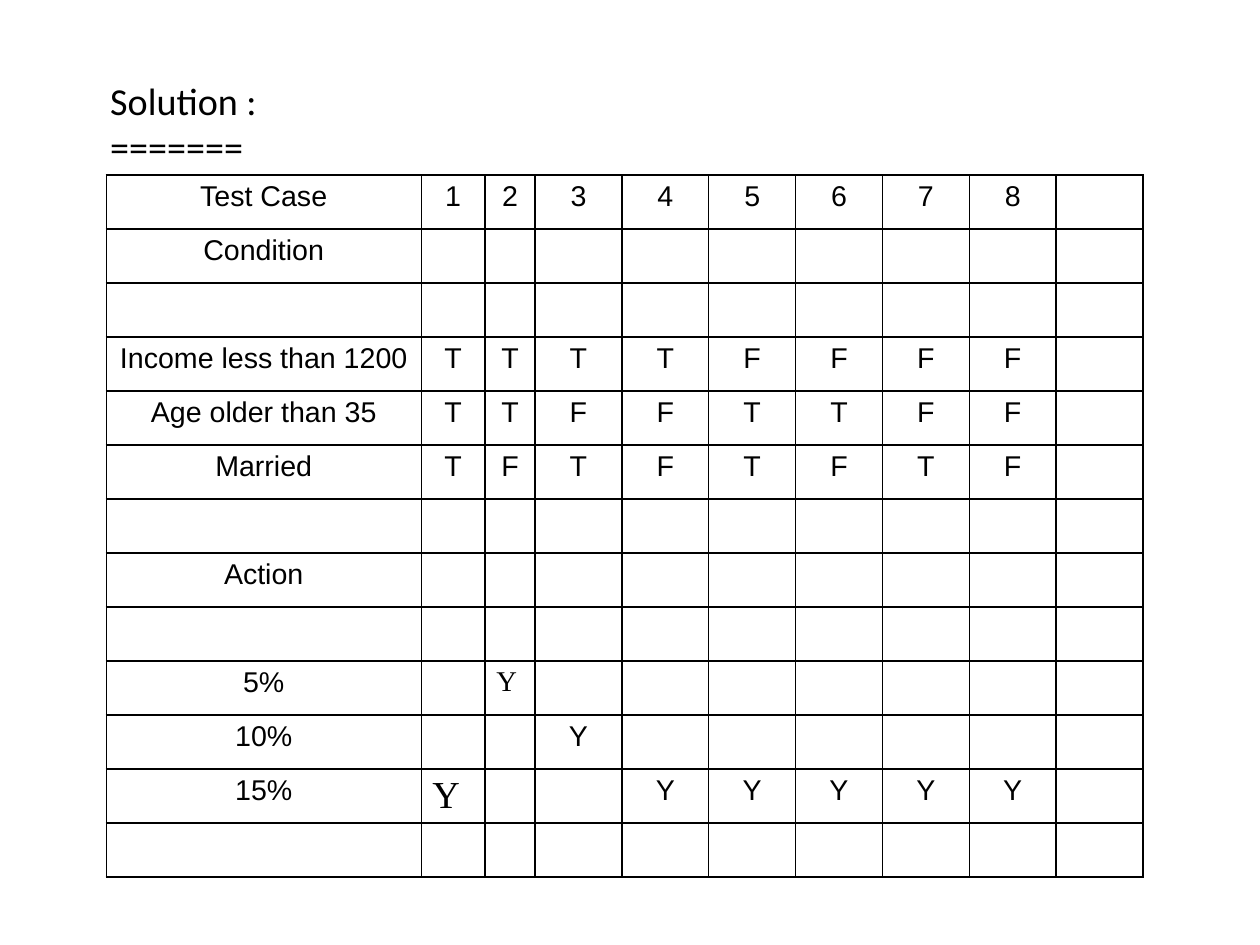
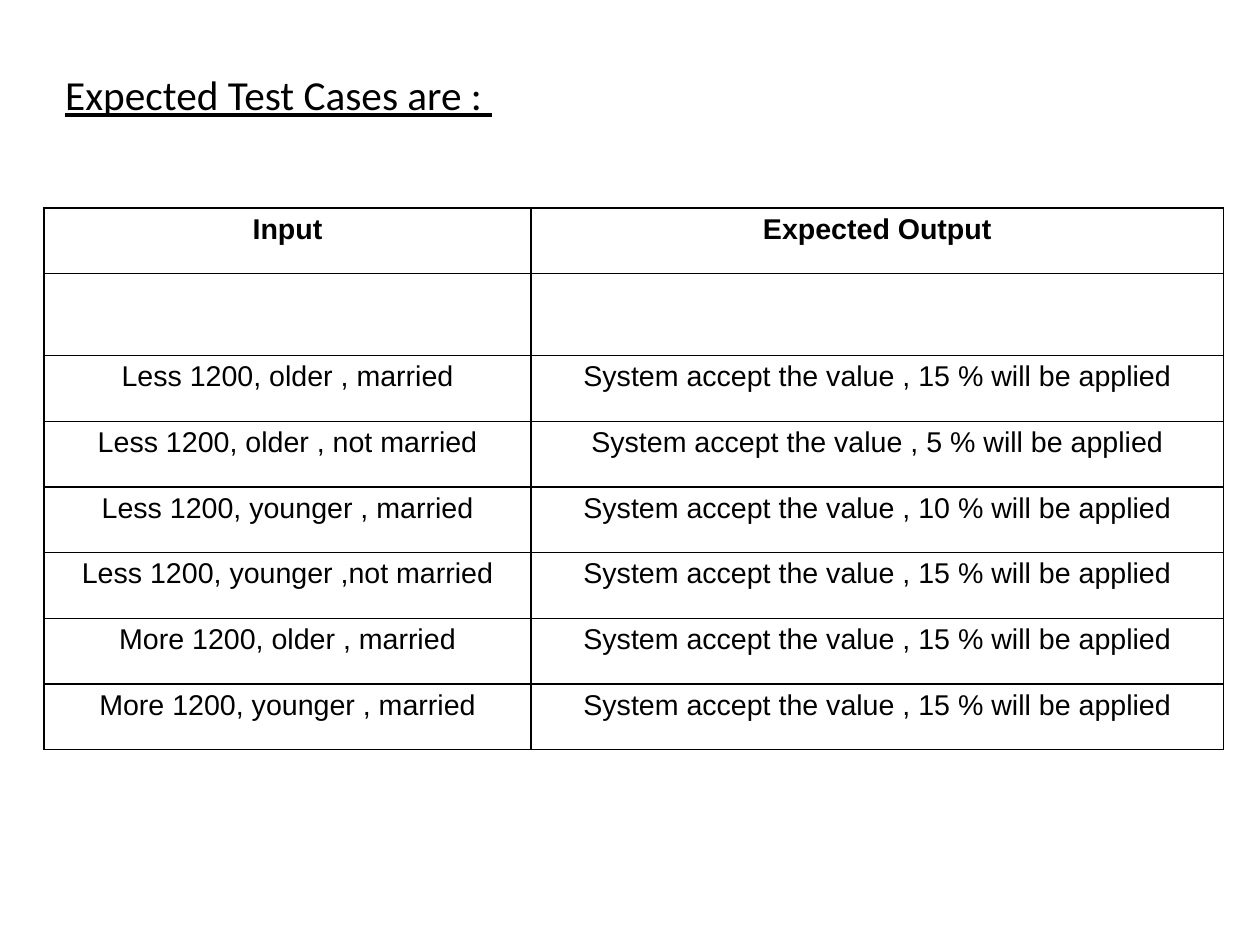
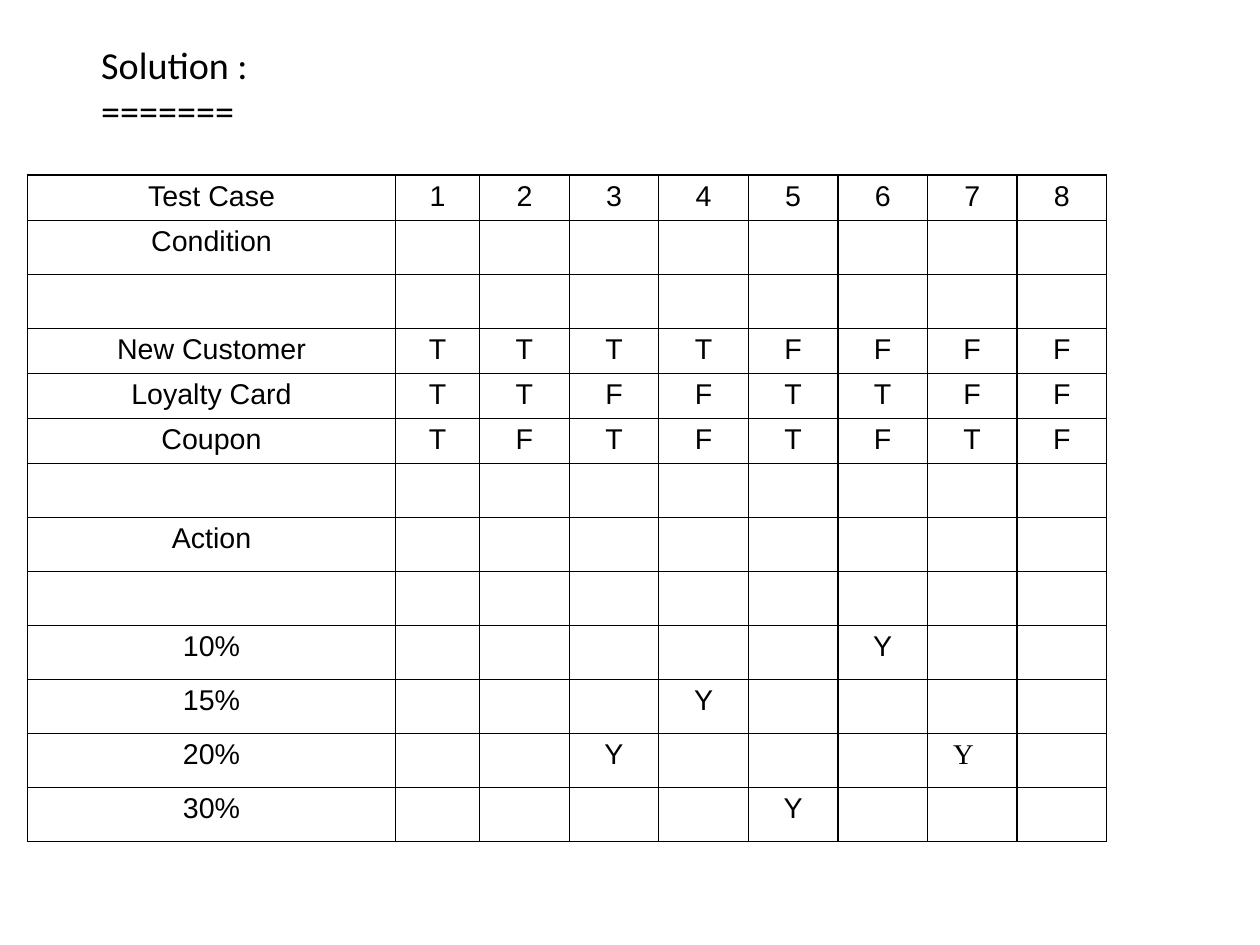
from lxml.etree import SubElement
from pptx import Presentation
from pptx.dml.color import RGBColor
from pptx.enum.text import PP_ALIGN
from pptx.oxml.ns import qn
from pptx.util import Cm, Pt

BLACK = RGBColor(0x00, 0x00, 0x00)
TITLE_FONT = "Calibri"
TABLE_FONT = "Arial"
MARK_FONT = "Times New Roman"
TALL_ROW = 1.2
SHORT_ROW = 0.97


class DeckBuilder:
    def __init__(self):
        self.deck = Presentation()
        self.deck.slide_width = Cm(28)
        self.deck.slide_height = Cm(21)
        self.slide = None

    def new_slide(self):
        self.slide = self.deck.slides.add_slide(self.deck.slide_layouts[6])

    def style(self, para, font, size, bold=False, underline=False):
        for span in para.runs:
            span.font.name = font
            span.font.size = Pt(size)
            span.font.bold = bold
            span.font.underline = underline
            span.font.color.rgb = BLACK

    def title(self, lines, left, top, width, height, size=24, underline=False):
        box = self.slide.shapes.add_textbox(Cm(left), Cm(top), Cm(width), Cm(height))
        box.text_frame.word_wrap = True
        box.text_frame.text = "\n".join(lines)
        for para in box.text_frame.paragraphs:
            self.style(para, TITLE_FONT, size, underline=underline)

    def borders(self, cell):
        properties = cell._tc.get_or_add_tcPr()
        for side in ("a:lnL", "a:lnR", "a:lnT", "a:lnB"):
            line = SubElement(properties, qn(side), w=str(Pt(1)))
            fill = SubElement(line, qn("a:solidFill"))
            SubElement(fill, qn("a:srgbClr"), val=str(BLACK))

    def table(self, rows, left, top, widths, heights, bold_header=False):
        frame = self.slide.shapes.add_table(
            len(rows), len(widths), Cm(left), Cm(top), Cm(sum(widths)), Cm(sum(heights))
        )
        table = frame.table
        table.first_row = False
        table.horz_banding = False
        for column, width in zip(table.columns, widths):
            column.width = Cm(width)
        for row, height in zip(table.rows, heights):
            row.height = Cm(height)
        for row_index, texts in enumerate(rows):
            for column_index in range(len(widths)):
                cell = table.cell(row_index, column_index)
                cell.margin_top = cell.margin_bottom = Cm(0.12)
                self.borders(cell)
                cell.fill.background()
                if column_index < len(texts) and texts[column_index].strip():
                    cell.text_frame.text = texts[column_index]
                    para = cell.text_frame.paragraphs[0]
                    para.alignment = PP_ALIGN.CENTER
                    self.style(para, TABLE_FONT, 18, bold=bold_header and row_index == 0)
        return table

    def decision_table(self, conditions, actions, left, top, widths, heights):
        rows = [("Test Case", "12345678"), ("Condition", ""), ("", "")]
        rows += zip(conditions, ("TTTTFFFF", "TTFFTTFF", "TFTFTFTF"))
        rows += [("", ""), ("Action", ""), ("", "")] + actions
        return self.table([[label, *marks] for label, marks in rows], left, top, widths, heights)

    def serif_mark(self, cell, size=18, indent=0.25):
        para = cell.text_frame.paragraphs[0]
        para.alignment = PP_ALIGN.LEFT
        cell.margin_left = Cm(indent)
        self.style(para, MARK_FONT, size)


builder = DeckBuilder()
solution_title = ["Solution :", "======="]

builder.new_slide()
discounts = builder.decision_table(
    ["Income less than 1200", "Age older than 35", "Married"],
    [("5%", " Y"), ("10%", "  Y"), ("15%", "Y  YYYYY"), ("", "")],
    2.36, 3.89, [7, 1.42, 1.11] + [1.93] * 7, [TALL_ROW] * 13,
)
builder.serif_mark(discounts.cell(9, 2))
builder.serif_mark(discounts.cell(11, 1), size=24)
builder.title(solution_title, 2.2, 1.6, 8.4, 1.96)

builder.new_slide()
builder.title(["Expected Test Cases are : "], 1.2, 1.42, 11.68, 1.17, size=26, underline=True)
expected_rates = [
    ("Less 1200, older , married", 15),
    ("Less 1200, older , not married", 5),
    ("Less 1200, younger , married", 10),
    ("Less 1200, younger ,not married", 15),
    ("More 1200, older , married", 15),
    ("More 1200, younger , married", 15),
]
builder.table(
    [("Input", "Expected Output"), ()]
    + [(case, f"System accept the value , {rate} % will be applied") for case, rate in expected_rates],
    0.98, 4.62, [10.82, 15.39], [1.46, 1.82] + [1.46] * 6, bold_header=True,
)

builder.new_slide()
builder.title(solution_title, 2, 0.8, 8.4, 1.96)
offers = builder.decision_table(
    ["New Customer", "Loyalty Card", "Coupon"],
    [("10%", "     Y"), ("15%", "   Y"), ("20%", "  Y   Y"), ("30%", "    Y")],
    0.61, 3.89, [8.18, 1.87] + [1.99] * 7,
    [SHORT_ROW] + [TALL_ROW] * 2 + [SHORT_ROW] * 3 + [TALL_ROW] * 7,
)
builder.serif_mark(offers.cell(11, 7), indent=0.57)

builder.deck.save("out.pptx")
